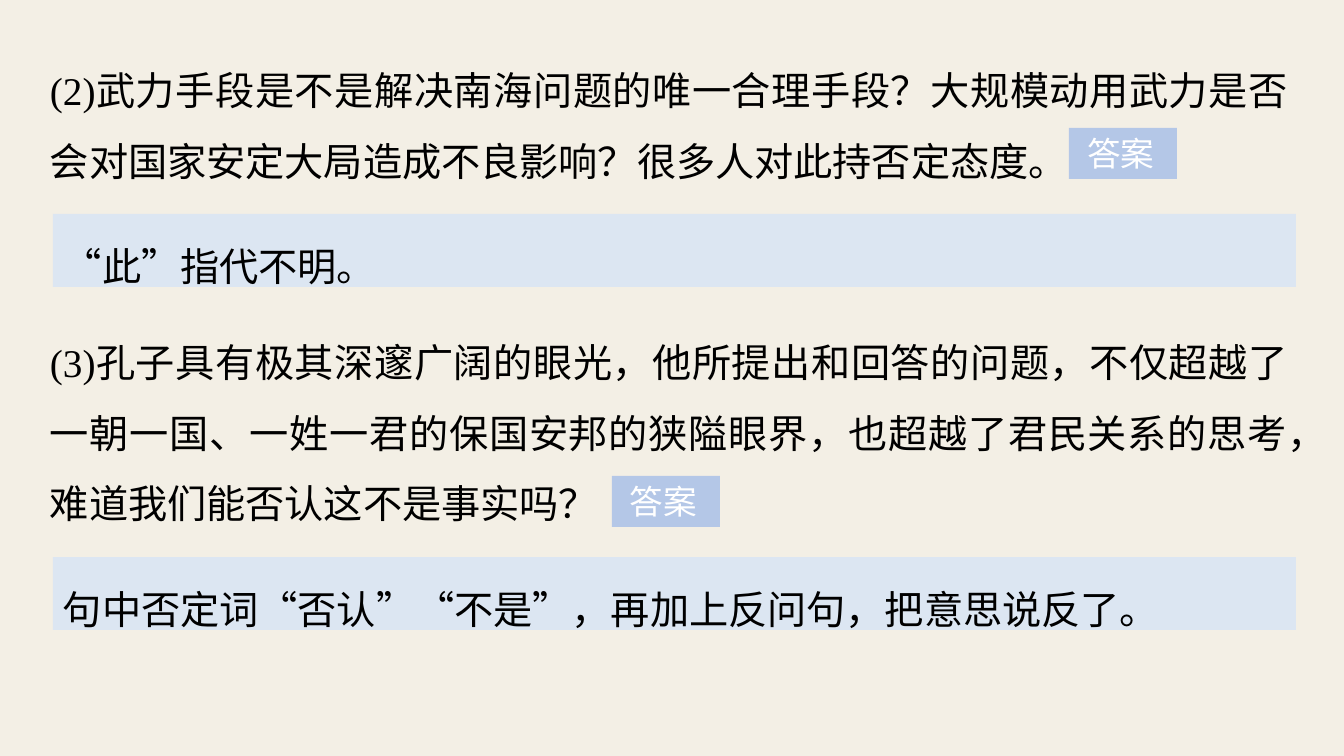
import pptx
import pptx.dml.color
import pptx.enum.shapes
import pptx.enum.text
import pptx.util

PX = 914400 / 100.8
SERIF = "Times New Roman"
QUOTE = "Noto Sans CJK SC"


def px(n):
    return pptx.util.Emu(round(n * PX))


def rgb(value):
    return pptx.dml.color.RGBColor.from_string(value)


class Page:
    ink = "000000"
    panel_fill = "DCE6F2"
    tag_fill = "B4C7E7"
    tag_ink = "FFFFFF"

    def __init__(self, prs, background):
        self.s = prs.slides.add_slide(prs.slide_layouts[6])
        self.s.background.fill.solid()
        self.s.background.fill.fore_color.rgb = rgb(background)

    def set_text(self, sp, runs, size, color, margins, align, spacing):
        tf = sp.text_frame
        tf.word_wrap = True
        tf.auto_size = pptx.enum.text.MSO_AUTO_SIZE.NONE
        tf.vertical_anchor = pptx.enum.text.MSO_ANCHOR.TOP
        tf.margin_left, tf.margin_top, tf.margin_right, tf.margin_bottom = map(px, margins)
        p = tf.paragraphs[0]
        p.alignment = align
        p.line_spacing = spacing
        for text, font in runs:
            r = p.add_run()
            r.text = text
            r.font.name = font
            r.font.size = pptx.util.Pt(size)
            r.font.color.rgb = rgb(color)

    def box(self, x, y, w, h, fill):
        sp = self.s.shapes.add_shape(
            pptx.enum.shapes.MSO_SHAPE.RECTANGLE, px(x), px(y), px(w), px(h))
        sp.shadow.inherit = False
        sp.fill.solid()
        sp.fill.fore_color.rgb = rgb(fill)
        sp.line.fill.background()
        return sp

    def question(self, y, h, text):
        sp = self.s.shapes.add_textbox(px(37), px(y), px(1265), px(h))
        self.set_text(sp, [(text, SERIF)], 28, self.ink, (13, 7, 13, 7),
                      pptx.enum.text.PP_ALIGN.JUSTIFY, 1.5)

    def tag(self, x, y):
        sp = self.box(x, y, 108, 51, self.tag_fill)
        self.set_text(sp, [("答案", "Arial")], 24, self.tag_ink, (18, 5, 10, 5),
                      pptx.enum.text.PP_ALIGN.LEFT, 1.0)

    def answer(self, y, *runs):
        sp = self.box(53, y, 1243, 73, self.panel_fill)
        self.set_text(sp, runs, 28, self.ink, (10, 5, 10, 5),
                      pptx.enum.text.PP_ALIGN.JUSTIFY, 1.5)


def main():
    prs = pptx.Presentation()
    prs.slide_width, prs.slide_height = px(1344), px(756)
    page = Page(prs, "F3EFE5")

    page.question(36, 147, "(2)武力手段是不是解决南海问题的唯一合理手段？大规模动用武力是否"
                           "会对国家安定大局造成不良影响？很多人对此持否定态度。")
    page.tag(1069, 128)
    page.answer(214, ("“", QUOTE), ("此", SERIF), ("”", QUOTE), ("指代不明。", SERIF))

    page.question(308, 218, "(3)孔子具有极其深邃广阔的眼光，他所提出和回答的问题，不仅超越了"
                            "一朝一国、一姓一君的保国安邦的狭隘眼界，也超越了君民关系的思考，"
                            "难道我们能否认这不是事实吗？")
    page.tag(612, 476)
    page.answer(557, ("句中否定词", SERIF), ("“", QUOTE), ("否认", SERIF), ("”“", QUOTE),
                ("不是", SERIF), ("”", QUOTE), ("，再加上反问句，把意思说反了。", SERIF))

    prs.save("out.pptx")


if __name__ == "__main__":
    main()
